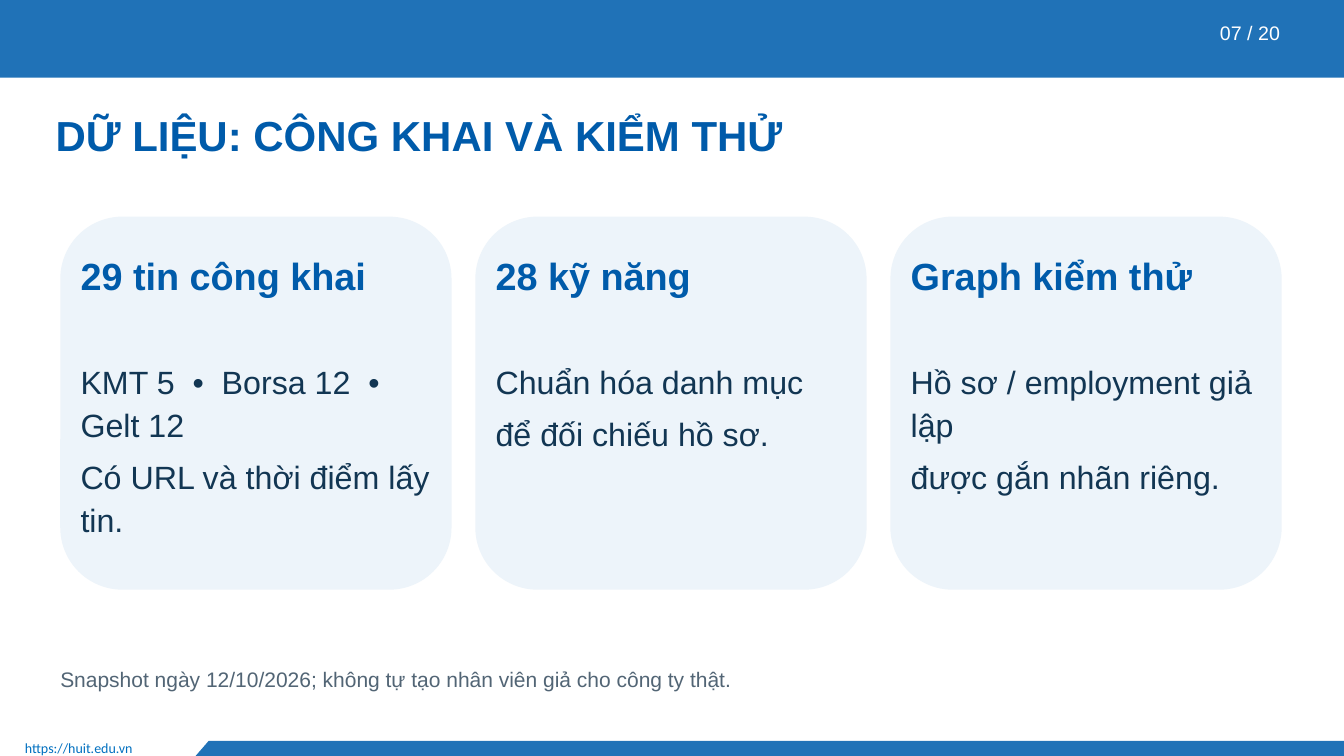
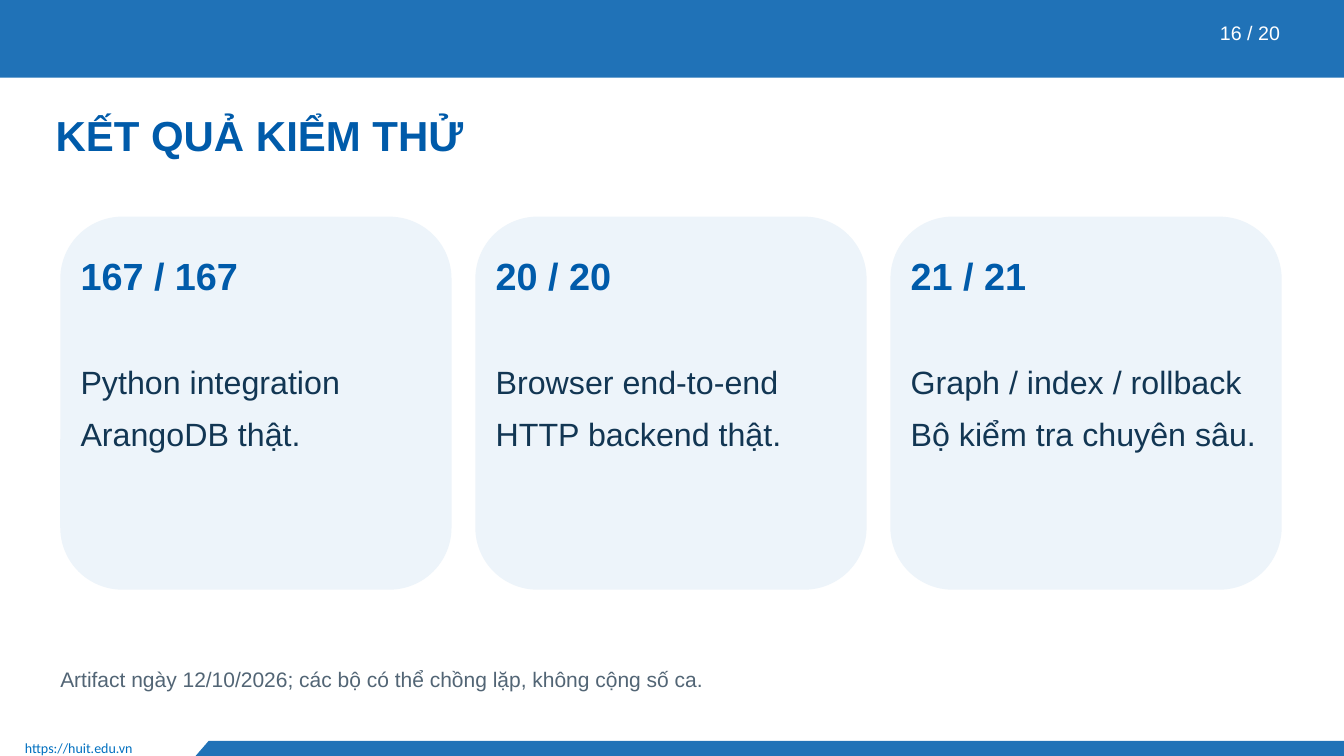
import pptx
import pptx.util
import pptx.dml.color
import pptx.enum.shapes
import pptx.enum.text

Cm = pptx.util.Cm
Pt = pptx.util.Pt
RGBColor = pptx.dml.color.RGBColor
ALIGN = pptx.enum.text.PP_ALIGN
SHAPE = pptx.enum.shapes.MSO_SHAPE

BAND_BLUE = RGBColor(0x20, 0x72, 0xB7)
LINK_BLUE = RGBColor(0x00, 0x70, 0xC0)
HEADING_BLUE = RGBColor(0x00, 0x5B, 0xAA)
CARD_FILL = RGBColor(0xED, 0xF4, 0xFA)
BODY_NAVY = RGBColor(0x12, 0x36, 0x53)
NOTE_GREY = RGBColor(0x52, 0x65, 0x75)
WHITE = RGBColor(0xFF, 0xFF, 0xFF)

PAGE_WIDTH, PAGE_HEIGHT = Cm(33.87), Cm(19.05)
CARD_LEFT, CARD_TOP = Cm(1.52), Cm(5.46)
CARD_WIDTH, CARD_HEIGHT = Cm(9.86), Cm(9.4)
CARD_GAP, CARD_PADDING = Cm(0.6), Cm(0.51)
TEXT_WIDTH = CARD_WIDTH - 2 * CARD_PADDING

SITE = "https://huit.edu.vn"
PAGES = [
    {
        "title": "DỮ LIỆU: CÔNG KHAI VÀ KIỂM THỬ",
        "number": "07 / 20",
        "cards": [
            ("29 tin công khai", ["KMT 5  •  Borsa 12  •  Gelt 12", "Có URL và thời điểm lấy tin."]),
            ("28 kỹ năng", ["Chuẩn hóa danh mục", "để đối chiếu hồ sơ."]),
            ("Graph kiểm thử", ["Hồ sơ / employment giả lập", "được gắn nhãn riêng."]),
        ],
        "note": "Snapshot ngày 12/10/2026; không tự tạo nhân viên giả cho công ty thật.",
    },
    {
        "title": "KẾT QUẢ KIỂM THỬ",
        "number": "16 / 20",
        "cards": [
            ("167 / 167", ["Python integration", "ArangoDB thật."]),
            ("20 / 20", ["Browser end-to-end", "HTTP backend thật."]),
            ("21 / 21", ["Graph / index / rollback", "Bộ kiểm tra chuyên sâu."]),
        ],
        "note": "Artifact ngày 12/10/2026; các bộ có thể chồng lặp, không cộng số ca.",
    },
]


def write(box, lines, size, color, bold=False, align=ALIGN.LEFT):
    frame = box.text_frame
    frame.word_wrap = True
    frame.auto_size = pptx.enum.text.MSO_AUTO_SIZE.NONE
    frame.vertical_anchor = pptx.enum.text.MSO_ANCHOR.TOP
    frame.margin_left = frame.margin_right = frame.margin_top = 0
    frame.margin_bottom = Cm(0.1)
    frame.text = "\n".join(lines)
    for para in frame.paragraphs:
        para.alignment = align
        para.line_spacing = 1.12
        para.space_before = Pt(0)
        para.space_after = Pt(6)
        for span in para.runs:
            span.font.name = "Arial"
            span.font.size = Pt(size)
            span.font.bold = bold
            span.font.color.rgb = color


def paint(shape, color):
    shape.shadow.inherit = False
    shape.fill.solid()
    shape.fill.fore_color.rgb = color
    shape.line.fill.background()


def set_up_layout(layout, page):
    for holder in list(layout.placeholders):
        if holder.placeholder_format.type == pptx.enum.shapes.PP_PLACEHOLDER.TITLE:
            holder.left, holder.top = Cm(1.4), Cm(2.62)
            holder.width, holder.height = Cm(30.61), Cm(1.83)
        else:
            layout.shapes.element.remove(holder.element)

    header = page.shapes.add_shape(SHAPE.RECTANGLE, 0, Cm(-0.02), PAGE_WIDTH, Cm(1.98))
    paint(header, BAND_BLUE)

    outline = page.shapes.build_freeform(Cm(5.26), Cm(18.67))
    outline.add_line_segments(
        [(PAGE_WIDTH, Cm(18.67)), (PAGE_WIDTH, PAGE_HEIGHT), (Cm(4.93), PAGE_HEIGHT)]
    )
    footer = outline.convert_to_shape()
    paint(footer, BAND_BLUE)

    site = page.shapes.add_textbox(Cm(0.38), Cm(18.52), Cm(4.52), Cm(0.71))
    site.text_frame.word_wrap = True
    site.text_frame.text = SITE
    font = site.text_frame.paragraphs[0].runs[0].font
    font.name, font.size = "Calibri", Pt(10)
    font.color.rgb = LINK_BLUE

    for shape in (header, footer, site):
        layout.shapes.element.append(shape.element)


def add_card(page, index, heading, lines):
    left = CARD_LEFT + index * (CARD_WIDTH + CARD_GAP)
    card = page.shapes.add_shape(SHAPE.ROUNDED_RECTANGLE, left, CARD_TOP, CARD_WIDTH, CARD_HEIGHT)
    paint(card, CARD_FILL)
    text_left = left + CARD_PADDING
    box = page.shapes.add_textbox(text_left, Cm(6.22), TEXT_WIDTH, Cm(2.41))
    write(box, [heading], 27, HEADING_BLUE, bold=True)
    box = page.shapes.add_textbox(text_left, Cm(9.02), TEXT_WIDTH, Cm(4.95))
    write(box, lines, 23, BODY_NAVY)


def main():
    deck = pptx.Presentation()
    deck.slide_width, deck.slide_height = PAGE_WIDTH, PAGE_HEIGHT
    layout = deck.slide_layouts[5]
    for position, content in enumerate(PAGES):
        page = deck.slides.add_slide(layout)
        if position == 0:
            set_up_layout(layout, page)
        write(page.shapes.title, [content["title"]], 30, HEADING_BLUE, bold=True)
        number = page.shapes.add_textbox(Cm(29.59), Cm(0.46), Cm(2.67), Cm(0.81))
        write(number, [content["number"]], 14, WHITE, align=ALIGN.RIGHT)
        for index, (heading, lines) in enumerate(content["cards"]):
            add_card(page, index, heading, lines)
        note = page.shapes.add_textbox(CARD_LEFT, Cm(16.71), Cm(30.48), Cm(0.97))
        write(note, [content["note"]], 15, NOTE_GREY)
    deck.save("out.pptx")


if __name__ == "__main__":
    main()
